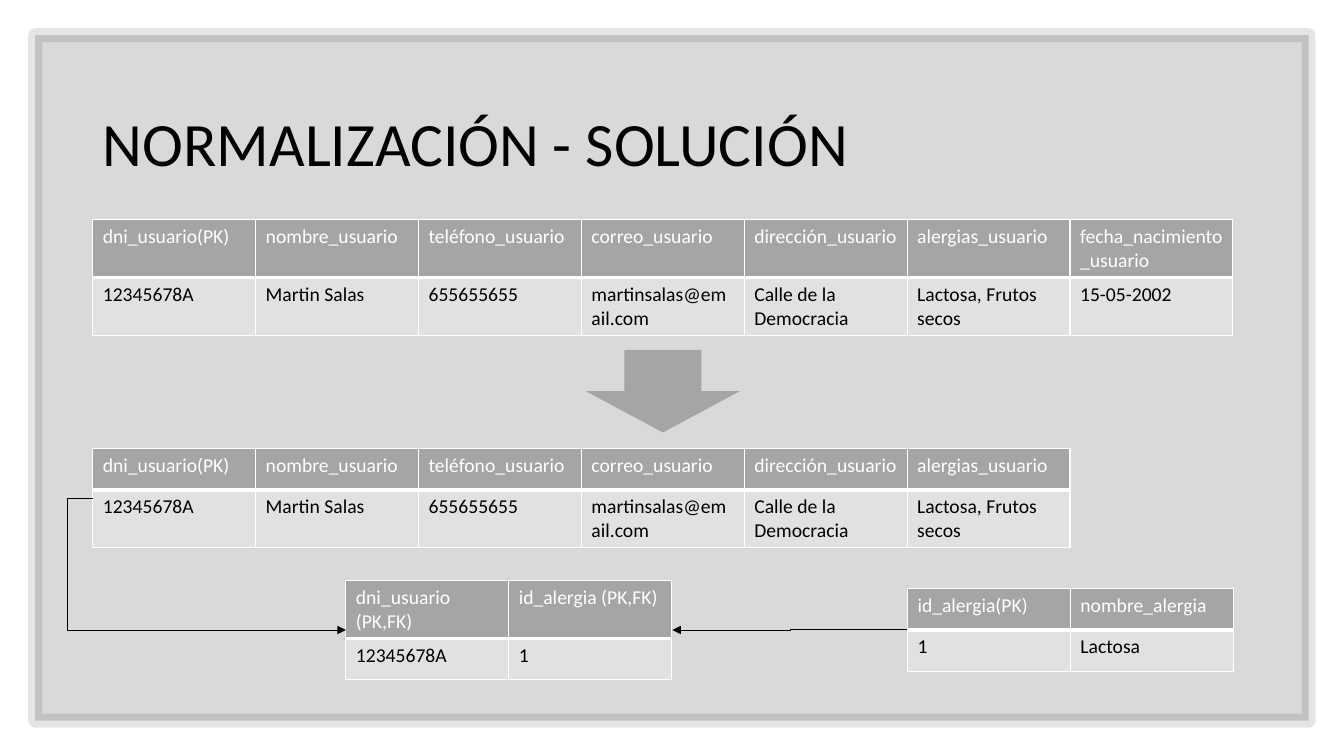
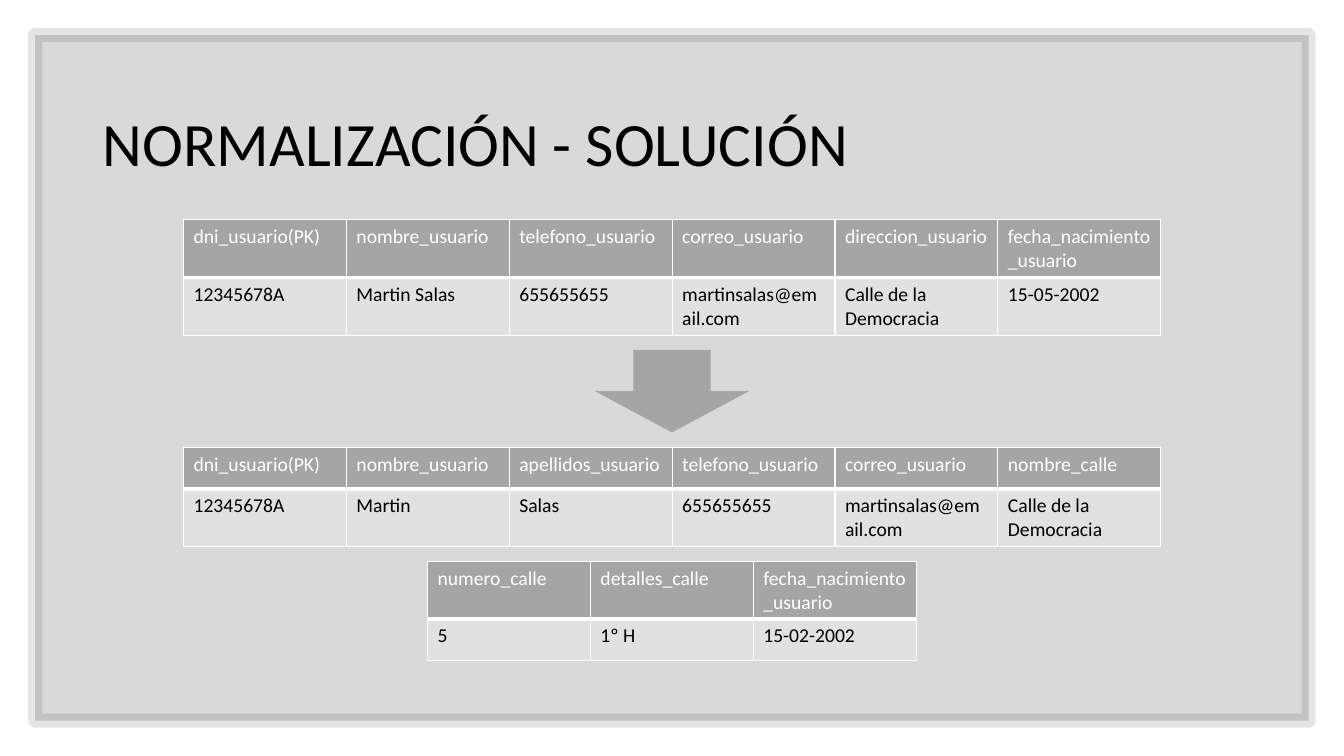
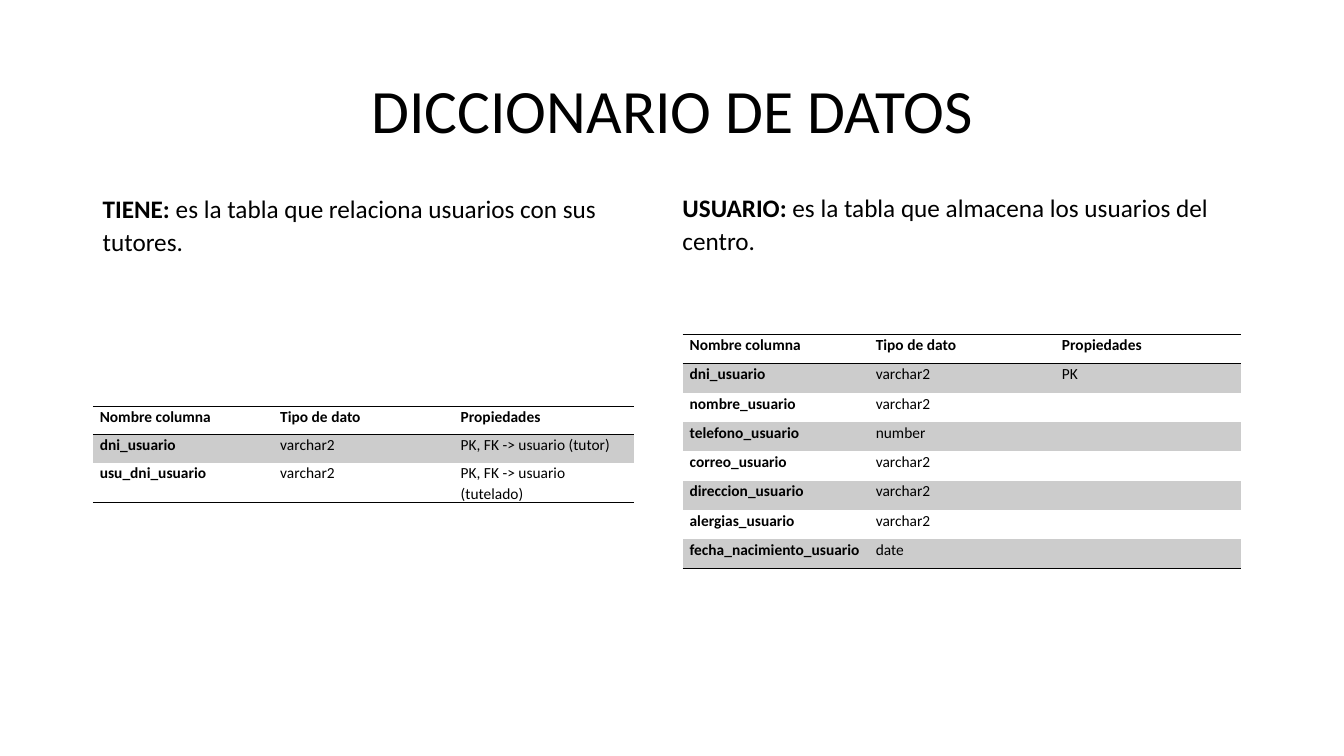
from pptx import Presentation
from pptx.dml.color import RGBColor
from pptx.enum.shapes import MSO_CONNECTOR, MSO_SHAPE
from pptx.enum.text import MSO_ANCHOR, MSO_AUTO_SIZE, PP_ALIGN
from pptx.oxml.ns import qn
from pptx.oxml.xmlchemy import OxmlElement
from pptx.util import Inches, Pt

LEFT, CENTER = PP_ALIGN.LEFT, PP_ALIGN.CENTER
MIDDLE = MSO_ANCHOR.MIDDLE
NO_FIT, GROW = MSO_AUTO_SIZE.NONE, MSO_AUTO_SIZE.SHAPE_TO_FIT_TEXT
RECTANGLE, DOWN_ARROW = MSO_SHAPE.RECTANGLE, MSO_SHAPE.DOWN_ARROW
ELBOW = MSO_CONNECTOR.ELBOW

BLACK = RGBColor(0x00, 0x00, 0x00)
WHITE = RGBColor(0xFF, 0xFF, 0xFF)
HEADER_GRAY = RGBColor(0xA5, 0xA5, 0xA5)
BODY_GRAY = RGBColor(0xE1, 0xE1, 0xE1)
BAND_GRAY = RGBColor(0xCC, 0xCC, 0xCC)
FONT = "Calibri"
NO_STYLE = "{2D5ABB26-0587-4C30-8999-92F81FD0307C}"

MARGIN = Inches(0.92)
COLUMN_WIDTH = Inches(11.31) // 7
RELATION = dict(
    fills=(HEADER_GRAY, BODY_GRAY), header_color=WHITE, line_color=WHITE,
    header_lines=dict(lnL=1, lnR=1, lnT=1, lnB=3),
    last_lines=dict(lnL=1, lnR=1, lnT=3, lnB=1),
    bold_headings=False, side_inset=Inches(0.1), end_inset=Inches(0.05),
    text_format=dict(size=14),
)
DICTIONARY = dict(
    fills=(None, BAND_GRAY), header_color=BLACK, line_color=BLACK,
    header_lines=dict(lnT=1, lnB=1), last_lines=dict(lnB=1),
    bold_headings=True, side_inset=Inches(0.07), end_inset=0,
    text_format=dict(size=11, spacing=1.07, after=8),
)


def write(text_frame, text, size, color=BLACK, bold=False, lead="",
          align=LEFT, spacing=1.0, after=0):
    paragraph = text_frame.paragraphs[0]
    paragraph.alignment = align
    paragraph.line_spacing = spacing
    paragraph.space_after = Pt(after)
    for words, weight in ((lead, True), (text, bold)):
        if words:
            run = paragraph.add_run()
            run.text = words
            run.font.name = FONT
            run.font.size = Pt(size)
            run.font.bold = weight
            run.font.color.rgb = color
    if not text:
        paragraph._p.get_or_add_endParaRPr().set("sz", str(size * 100))


def add_grid(slide, rows, left, top, width, row_height, look):
    table = slide.shapes.add_table(
        len(rows), len(rows[0]), left, top, width, row_height * len(rows)).table
    table.first_row = table.horz_banding = False
    table._tbl.tblPr.find(qn("a:tableStyleId")).text = NO_STYLE
    for r, values in enumerate(rows):
        lines = {0: look["header_lines"], len(rows) - 1: look["last_lines"]}.get(r, {})
        fill_color = look["fills"][r % 2]
        for c, value in enumerate(values):
            cell = table.cell(r, c)
            cell.margin_left = cell.margin_right = look["side_inset"]
            cell.margin_top = cell.margin_bottom = look["end_inset"]
            write(cell.text_frame, value,
                  color=BLACK if r else look["header_color"],
                  bold=look["bold_headings"] and 0 in (r, c), **look["text_format"])
            if fill_color is None:
                cell.fill.background()
            else:
                cell.fill.solid()
                cell.fill.fore_color.rgb = fill_color
            for position, (side, points) in enumerate(lines.items()):
                border = OxmlElement("a:" + side)
                border.set("w", str(Pt(points)))
                border_fill = OxmlElement("a:solidFill")
                border_color = OxmlElement("a:srgbClr")
                border_color.set("val", str(look["line_color"]))
                border_fill.append(border_color)
                border.append(border_fill)
                cell._tc.get_or_add_tcPr().insert(position, border)


deck = Presentation()
deck.slide_width, deck.slide_height = Inches(13.33), Inches(7.5)
title_only = deck.slide_layouts[5]

slides = []
for heading, title_top, align in (
    ("NORMALIZACIÓN - SOLUCIÓN", 0.73, LEFT),
    ("NORMALIZACIÓN - SOLUCIÓN", 0.73, LEFT),
    ("DICCIONARIO DE DATOS", 0.4, CENTER),
):
    slide = deck.slides.add_slide(title_only)
    title = slide.shapes.title
    title.left, title.top = MARGIN, Inches(title_top)
    title.width, title.height = Inches(11.5), Inches(1.45)
    title.text_frame.vertical_anchor = MIDDLE
    title.text_frame.auto_size = NO_FIT
    write(title.text_frame, heading, size=44, align=align, spacing=0.9)
    slides.append(slide)
allergies, split_fields, dictionary = slides

for slide, arrow_left in ((allergies, 5.81), (split_fields, 5.9)):
    frame = slide.shapes.add_shape(
        RECTANGLE, Inches(0.35), Inches(0.35), Inches(12.63), Inches(6.8))
    frame.shadow.inherit = False
    frame.fill.solid()
    frame.fill.fore_color.rgb = BLACK
    frame.line.color.rgb = BLACK
    frame.line.width = Pt(10)
    for color, opacity in zip(frame._element.spPr.iter(qn("a:srgbClr")), (15, 10)):
        alpha = OxmlElement("a:alpha")
        alpha.set("val", str(opacity * 1000))
        color.append(alpha)
    slide.shapes._spTree.insert(2, frame._element)

    arrow = slide.shapes.add_shape(
        DOWN_ARROW, Inches(arrow_left), Inches(3.47), Inches(1.53), Inches(0.82))
    arrow.shadow.inherit = False
    arrow.fill.solid()
    arrow.fill.fore_color.rgb = HEADER_GRAY
    arrow.line.fill.background()

EMAIL = "martinsalas@email.com"
STREET = "Calle de la Democracia"
user_fields = ("dni_usuario(PK)", "nombre_usuario", "teléfono_usuario",
               "correo_usuario", "dirección_usuario", "alergias_usuario")
user_values = ("12345678A", "Martin Salas", "655655655", EMAIL, STREET,
               "Lactosa, Frutos secos")
relations = (
    (allergies, 0.92, 2.18, (user_fields + ("fecha_nacimiento_usuario",),
                             user_values + ("15-05-2002",))),
    (allergies, 0.92, 4.45, (user_fields, user_values)),
    (allergies, 3.43, 5.76, (("dni_usuario (PK,FK)", "id_alergia (PK,FK)"),
                             ("12345678A", "1"))),
    (allergies, 9, 5.84, (("id_alergia(PK)", "nombre_alergia"), ("1", "Lactosa"))),
    (split_fields, 1.82, 2.18, (
        ("dni_usuario(PK)", "nombre_usuario", "telefono_usuario",
         "correo_usuario", "direccion_usuario", "fecha_nacimiento_usuario"),
        ("12345678A", "Martin Salas", "655655655", EMAIL, STREET, "15-05-2002"))),
    (split_fields, 1.82, 4.44, (
        ("dni_usuario(PK)", "nombre_usuario", "apellidos_usuario",
         "telefono_usuario", "correo_usuario", "nombre_calle"),
        ("12345678A", "Martin", "Salas", "655655655", EMAIL, STREET))),
    (split_fields, 4.24, 5.57, (
        ("numero_calle", "detalles_calle", "fecha_nacimiento_usuario"),
        ("5", "1º H", "15-02-2002"))),
)
for slide, left, top, rows in relations:
    add_grid(slide, rows, Inches(left), Inches(top), COLUMN_WIDTH * len(rows[0]),
             Inches(0.41), RELATION)

for start_x, start_y, end_x, end_y, bend in (
    (0.92, 4.94, 3.43, 6.25, -9900),
    (9, 6.24, 6.67, 6.25, 50000),
):
    key_link = allergies.shapes.add_connector(
        ELBOW, Inches(start_x), Inches(start_y), Inches(end_x), Inches(end_y))
    key_link.line.color.rgb = BLACK
    key_link.line.width = Pt(0.5)
    arrowhead = OxmlElement("a:tailEnd")
    arrowhead.set("type", "triangle")
    key_link.line._get_or_add_ln().append(arrowhead)
    properties = key_link._element.spPr
    properties.append(OxmlElement("a:effectLst"))
    guide = OxmlElement("a:gd")
    guide.set("name", "adj1")
    guide.set("fmla", f"val {bend}")
    properties.find(qn("a:prstGeom")).find(qn("a:avLst")).append(guide)

for left, top, name, meaning in (
    (0.92, 1.85, "TIENE:", " es la tabla que relaciona usuarios con sus tutores."),
    (6.67, 1.84, "USUARIO: ", "es la tabla que almacena los usuarios del centro."),
):
    definition = dictionary.shapes.add_textbox(
        Inches(left), Inches(top), Inches(5.75), Inches(0.73)).text_frame
    definition.word_wrap = True
    definition.auto_size = GROW
    write(definition, meaning, size=18, lead=name, spacing=1.07, after=8)

column_headings = ("Nombre columna", "Tipo de dato", "Propiedades")
user_columns = (
    column_headings,
    ("dni_usuario", "varchar2", "PK"),
    ("nombre_usuario", "varchar2", ""),
    ("telefono_usuario", "number", ""),
    ("correo_usuario", "varchar2", ""),
    ("direccion_usuario", "varchar2", ""),
    ("alergias_usuario", "varchar2", ""),
    ("fecha_nacimiento_usuario", "date", ""),
)
tutor_columns = (
    column_headings,
    ("dni_usuario", "varchar2", "PK, FK -> usuario (tutor)"),
    ("usu_dni_usuario", "varchar2", "PK, FK -> usuario (tutelado)"),
)
for rows, left, top, width, row_height in (
    (user_columns, 6.77, 3.32, 5.54, 0.29),
    (tutor_columns, 0.92, 4.03, 5.37, 0.28),
):
    add_grid(dictionary, rows, Inches(left), Inches(top), Inches(width),
             Inches(row_height), DICTIONARY)

deck.save("out.pptx")
